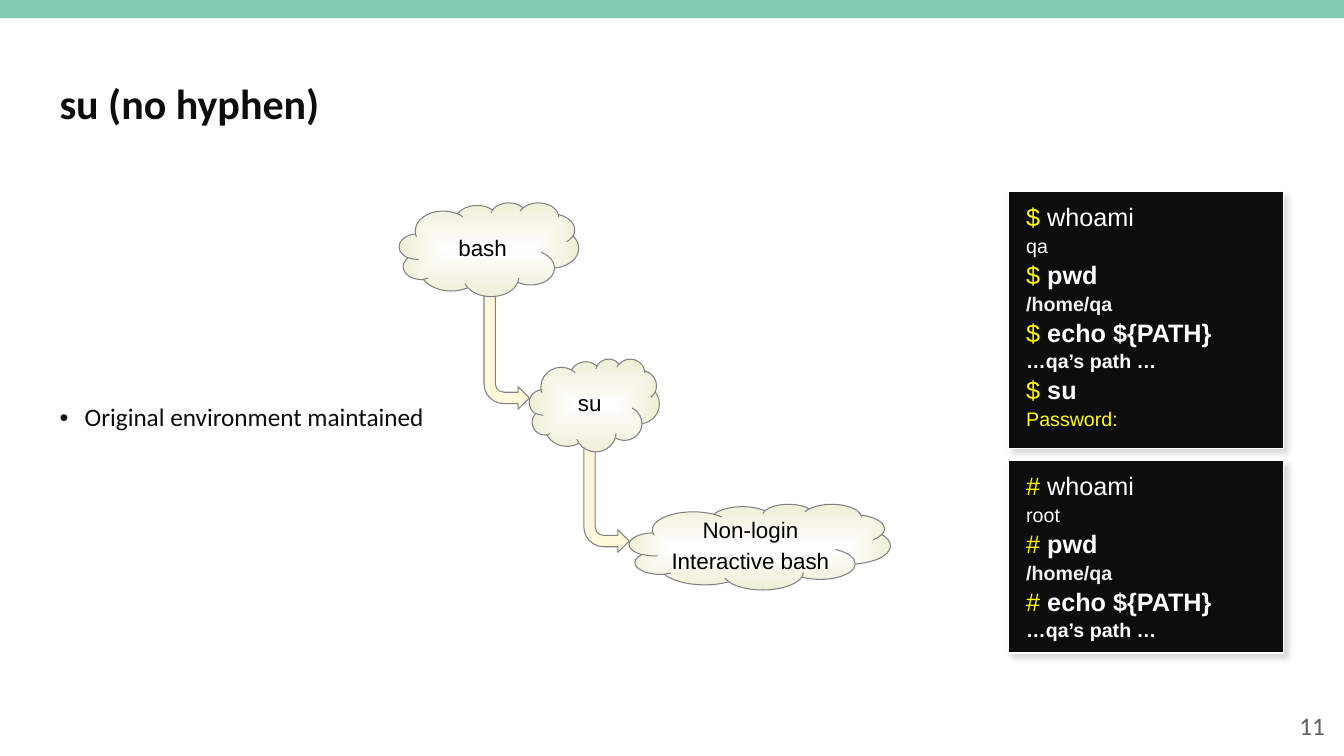
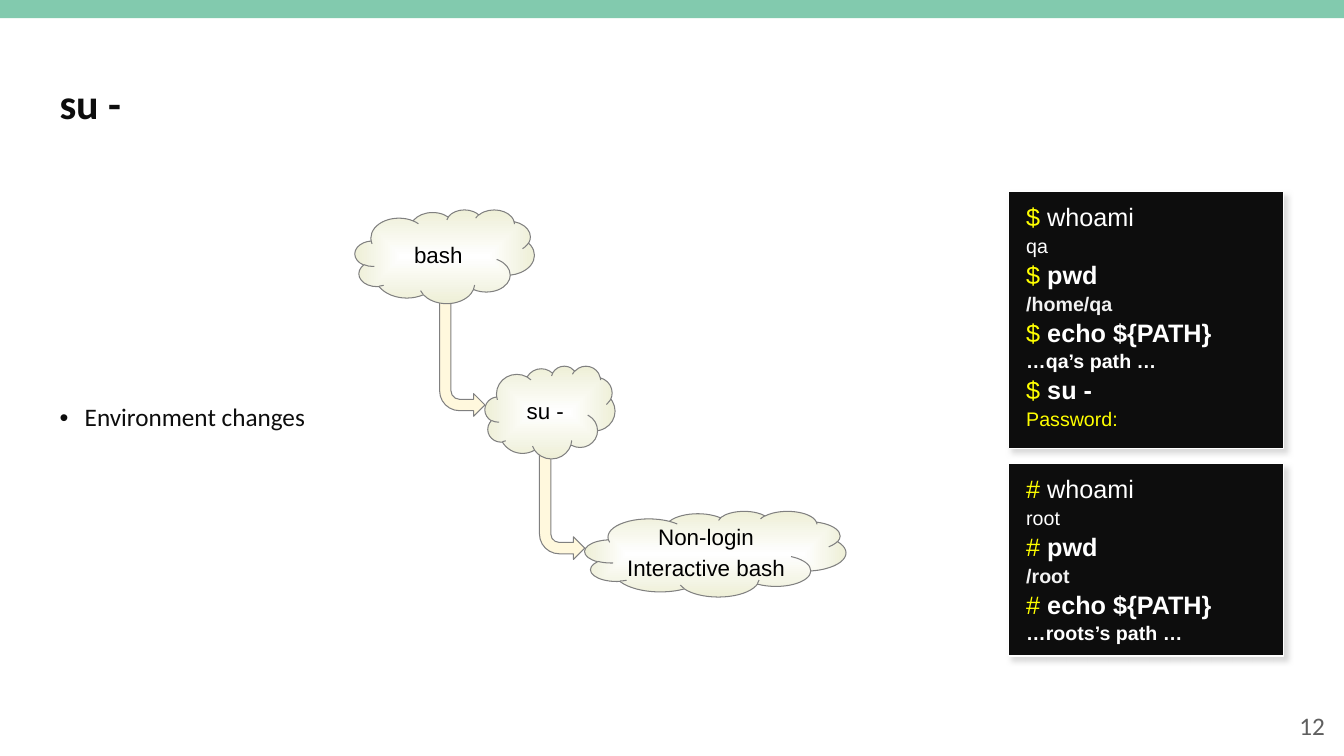
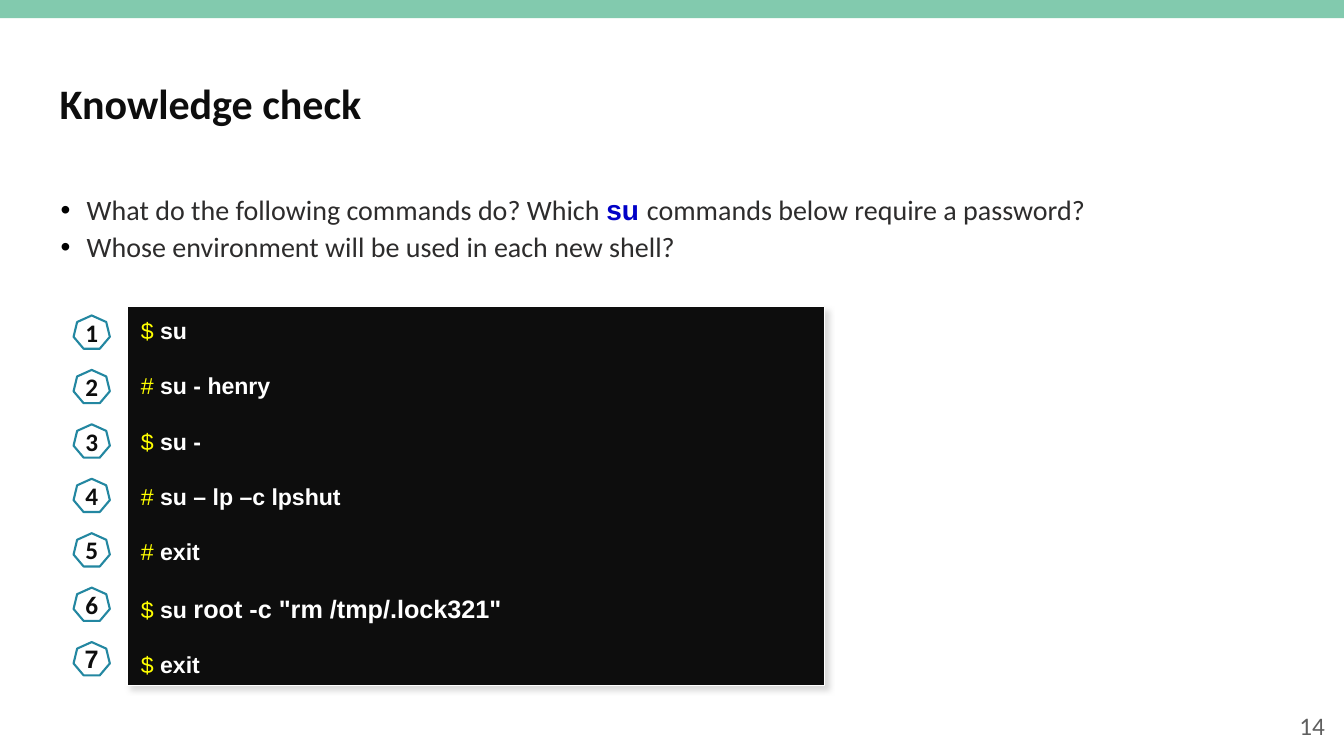
from pptx import Presentation
from pptx.dml.color import RGBColor
from pptx.enum.shapes import MSO_SHAPE
from pptx.enum.text import MSO_ANCHOR, MSO_AUTO_SIZE, PP_ALIGN
from pptx.oxml import parse_xml
from pptx.oxml.ns import nsdecls, qn
from pptx.util import Inches, Pt

RECTANGLE, CLOUD = MSO_SHAPE.RECTANGLE, MSO_SHAPE.CLOUD
BENT_ARROW, HEPTAGON = MSO_SHAPE.BENT_ARROW, MSO_SHAPE.HEPTAGON
TOP, MIDDLE = MSO_ANCHOR.TOP, MSO_ANCHOR.MIDDLE
LEFT, CENTER, RIGHT = PP_ALIGN.LEFT, PP_ALIGN.CENTER, PP_ALIGN.RIGHT
NO_FIT = MSO_AUTO_SIZE.NONE

# Shared style
WIDTH, HEIGHT = 13.33, 7.5
SANS, MONO = "Calibri", "Arial"
INK, WHITE, PALE, YELLOW = "0D0D0D", "FFFFFF", "F2F2F2", "FFFF00"
GREEN, GRAY, BLACK, BODY_INK, BLUE = "82CAAE", "5F5F5F", "000000", "2D2C2C", "0000C7"
CREAM, OUTLINE, TEAL, CLOUD_EDGE = "FFF8DD", "808080", "2387A1", "EEEFD7"
TITLE_AREA = (0.49, 0.55, 12.36, 0.94)
BODY_AREA = (0.49, 1.9, 12.36, 4.76)
NUMBER_AREA = (10.24, 7, 3, 0.4)
TERMINAL_INSETS = (0.1, 0.1, 0.1, 0.06)

# Content: a paragraph is a list of (text, format) spans
COMMAND = dict(color=WHITE, bold=True)
PROMPT = dict(color=YELLOW)


def session(prompt, user, home, owner, last=None):
    lines = [
        [(prompt, PROMPT), (" whoami", {})],
        [(user, dict(size=14))],
        [(prompt + " ", PROMPT), ("pwd", COMMAND)],
        [(home, dict(size=14, color=PALE, bold=True))],
        [(prompt + " ", PROMPT), ("echo ${PATH}", COMMAND)],
        [(f"…{owner}’s path …", dict(size=14, bold=True))],
    ]
    if last:
        lines += [[(prompt + " ", PROMPT), (last, COMMAND)],
                  [("Password:", dict(size=14, color=YELLOW))]]
    return lines


FLOW_PAGES = [
    dict(number=11, title="su (no hyphen)", bullet="Original environment maintained",
         command="su", home="/home/qa", owner="qa", origin=(3.96, 2.01), root_top=4.57),
    dict(number=12, title="su -", bullet="Environment changes",
         command="su -", home="/root", owner="roots", origin=(3.52, 2.08), root_top=4.6),
]
# Places relative to the top left of the first cloud
LOGIN_CLOUD = (2.28, 2.99, 2.59, 0.85)
COMMAND_CLOUD = (1.29, 1.55, 1.29, 0.92)
FIRST_CLOUD = (0, 0, 1.78, 0.93)
ARROWS = [(1.83, 2.07, 0.45, 1.4), (0.84, 0.65, 0.45, 1.4)]

QUESTIONS = [
    [("What do the following commands do? Which ", {}),
     ("su ", dict(font=MONO, color=BLUE, bold=True)),
     ("commands below require a password?", {})],
    [("Whose environment will be used in each new shell?", {})],
]
COMMANDS = [
    ("$ ", [("su", COMMAND)]),
    ("# ", [("su - henry", COMMAND)]),
    ("$ ", [("su -", COMMAND)]),
    ("# ", [("su – lp –c lpshut", COMMAND)]),
    ("# ", [("exit", COMMAND)]),
    ("$ ", [("su ", COMMAND), ('root -c "rm /tmp/.lock321"', dict(COMMAND, size=18))]),
    ("$ ", [("exit", COMMAND)]),
]
BADGE_LEFT, BADGE_TOP, BADGE_PITCH = 0.73, 3.13, 0.54


# Helpers
def rgb(code):
    return RGBColor.from_string(code)


def inches(area):
    return [Inches(value) for value in area]


def place(shape, area):
    shape.left, shape.top, shape.width, shape.height = inches(area)


def write(frame, paragraphs, font=SANS, size=18, color=INK, bold=False, align=LEFT,
          anchor=TOP, insets=(0.1, 0.05, 0.1, 0.05), wrap=True, before=0,
          spacing=None, indent=0, hanging=0, bullet=None):
    """Fill a text frame; span formats override the defaults given here."""
    frame.word_wrap, frame.auto_size, frame.vertical_anchor = wrap, NO_FIT, anchor
    (frame.margin_left, frame.margin_top,
     frame.margin_right, frame.margin_bottom) = inches(insets)
    for index, spans in enumerate(paragraphs):
        para = frame.paragraphs[0] if index == 0 else frame.add_paragraph()
        properties = para._p.get_or_add_pPr()
        properties.set("marL", str(Inches(indent)))
        properties.set("indent", str(-Inches(hanging)))
        if bullet:
            for markup in (f'<a:buClr {nsdecls("a")}><a:srgbClr val="{bullet}"/></a:buClr>',
                           f'<a:buFont {nsdecls("a")} typeface="Arial"/>',
                           f'<a:buChar {nsdecls("a")} char="•"/>'):
                properties.append(parse_xml(markup))
        para.alignment = align
        para.space_before = Pt(before if index else 0)
        if spacing:
            para.line_spacing = spacing
        for text, override in spans:
            style = dict(font=font, size=size, color=color, bold=bold) | override
            span = para.add_run()
            span.text = text
            span.font.name, span.font.size = style["font"], Pt(style["size"])
            span.font.bold = style["bold"]
            span.font.color.rgb = rgb(style["color"])


def add_box(page, kind, area, fill=None, line=None, weight=0.75):
    box = page.shapes.add_shape(kind, *inches(area))
    box.shadow.inherit = False
    if fill:
        box.fill.solid()
        box.fill.fore_color.rgb = rgb(fill)
    else:
        box.fill.background()
    if line:
        box.line.color.rgb = rgb(line)
        box.line.width = Pt(weight)
    else:
        box.line.fill.background()
    return box


def add_terminal(page, area, paragraphs, **style):
    box = add_box(page, RECTANGLE, area, INK, WHITE, 1)
    box._element.spPr.find(qn("a:effectLst")).append(parse_xml(
        f'<a:outerShdw {nsdecls("a")} blurRad="{Pt(4)}" dist="{Pt(4)}" dir="2700000" '
        'algn="tl" rotWithShape="0"><a:srgbClr val="DADADA"/></a:outerShdw>'))
    write(box.text_frame, paragraphs, font=MONO, color=WHITE,
          insets=TERMINAL_INSETS, **style)


def add_cloud(page, area, lines):
    cloud = add_box(page, CLOUD, area, line=OUTLINE)
    properties = cloud._element.spPr
    properties.replace(properties.find(qn("a:noFill")), parse_xml(
        f'<a:gradFill {nsdecls("a")} rotWithShape="1"><a:gsLst>'
        f'<a:gs pos="0"><a:srgbClr val="{WHITE}"/></a:gs>'
        f'<a:gs pos="100000"><a:srgbClr val="{CLOUD_EDGE}"/></a:gs></a:gsLst>'
        '<a:path path="shape"><a:fillToRect l="50000" t="50000" r="50000" b="50000"/>'
        '</a:path></a:gradFill>'))
    write(cloud.text_frame, [[(line, {})] for line in lines], font=MONO, size=16,
          color=BLACK, align=CENTER, anchor=MIDDLE, wrap=False, before=3.2)


def add_page(deck, layout, number, title):
    page = deck.slides.add_slide(layout)
    write(page.shapes.title.text_frame, [[(title, {})]], size=30, bold=True, anchor=MIDDLE)
    label = page.shapes.add_textbox(*inches(NUMBER_AREA))
    write(label.text_frame, [[(str(number), {})]], color=GRAY, align=RIGHT, anchor=MIDDLE)
    return page


def add_flow_page(deck, layout, number, title, bullet, command, home, owner,
                  origin, root_top):
    page = add_page(deck, layout, number, title)
    write(page.placeholders[1].text_frame, [[(bullet, {})]], anchor=MIDDLE, spacing=0.9,
          insets=(0.1, 0.05, 0.1, 0.3), indent=0.25, hanging=0.25, bullet=INK)

    # Terminals
    for top, height, lines in (
            (1.9, 2.55, session("$", "qa", "/home/qa", "qa", command)),
            (root_top, 1.91, session("#", "root", home, owner))):
        add_terminal(page, (10, top, 2.73, height), lines, before=1.4, indent=0.08)

    # Chain of shells
    def shifted(area):
        return (origin[0] + area[0], origin[1] + area[1], *area[2:])

    add_cloud(page, shifted(LOGIN_CLOUD), ["Non-login", "Interactive bash"])
    for area in ARROWS:
        arrow = add_box(page, BENT_ARROW, shifted(area), CREAM, OUTLINE)
        arrow.rotation = 180
        arrow._element.spPr.xfrm.set("flipH", "1")
    add_cloud(page, shifted(COMMAND_CLOUD), [command])
    add_cloud(page, shifted(FIRST_CLOUD), ["bash"])


def add_quiz_page(deck, layout):
    page = add_page(deck, layout, 14, "Knowledge check")
    write(page.placeholders[1].text_frame, QUESTIONS, size=20, color=BODY_INK,
          before=4.9, spacing=0.9, indent=0.27, hanging=0.26, bullet=BLACK)
    add_terminal(page, (1.26, 3.04, 6.92, 3.76),
                 [[(prompt, PROMPT), *spans] for prompt, spans in COMMANDS],
                 size=16.5, before=19.7, indent=0.04)
    for index in range(len(COMMANDS)):
        badge = add_box(page, HEPTAGON,
                        (BADGE_LEFT, BADGE_TOP + index * BADGE_PITCH, 0.36, 0.33),
                        line=TEAL, weight=1.5)
        font = MONO if index == len(COMMANDS) - 1 else SANS
        write(badge.text_frame, [[(str(index + 1), {})]], font=font, bold=True,
              align=CENTER, anchor=MIDDLE, insets=(0, 0, 0, 0), wrap=False)


def prepare_layout(deck):
    """Place the layout's title and body."""
    layout = deck.slide_layouts[1]
    place(layout.placeholders[0], TITLE_AREA)
    place(layout.placeholders[1], BODY_AREA)
    return layout


def main():
    deck = Presentation()
    deck.slide_width, deck.slide_height = Inches(WIDTH), Inches(HEIGHT)
    layout = prepare_layout(deck)
    for content in FLOW_PAGES:
        add_flow_page(deck, layout, **content)
    add_quiz_page(deck, layout)
    # The band is drawn once and moved to the shared layout
    band = add_box(deck.slides[0], RECTANGLE, (0, 0, WIDTH, 0.18), GREEN)
    layout.shapes._spTree.append(band._element)
    deck.save("out.pptx")


if __name__ == "__main__":
    main()
